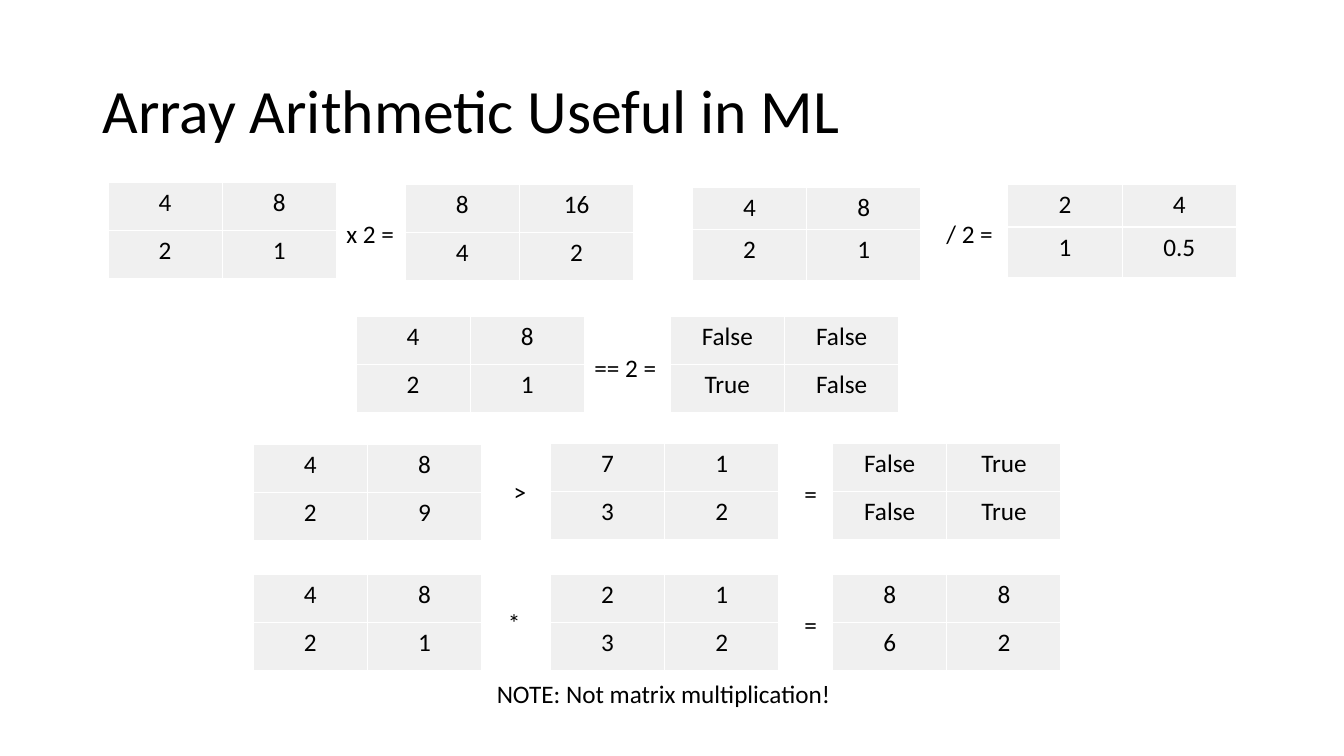
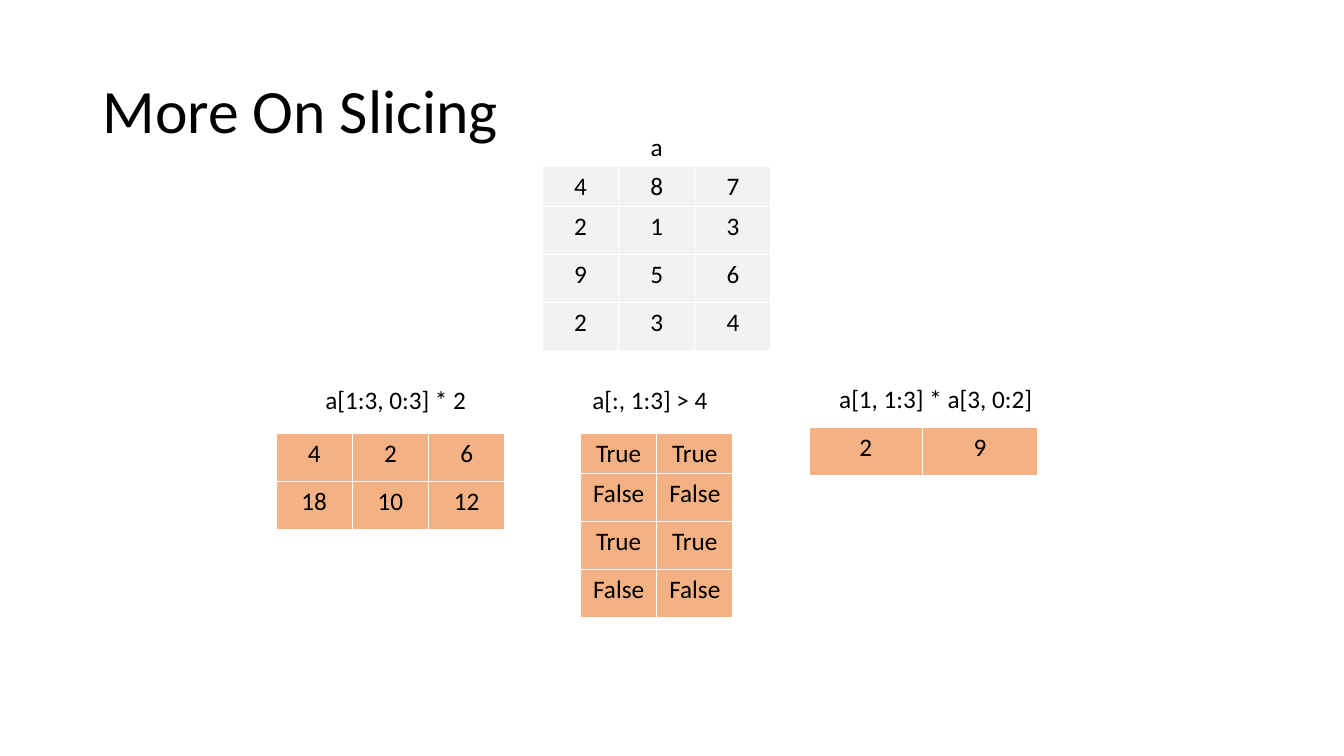
import lxml.etree
import pptx
import pptx.dml.color
import pptx.enum.text
import pptx.oxml
import pptx.oxml.ns
import pptx.util

Cm = pptx.util.Cm
Pt = pptx.util.Pt
RGBColor = pptx.dml.color.RGBColor

BLACK = RGBColor(0x00, 0x00, 0x00)
WHITE = RGBColor(0xFF, 0xFF, 0xFF)
OPERAND = RGBColor(0xF0, 0xF0, 0xF0)
SOURCE = RGBColor(0xF2, 0xF2, 0xF2)
RESULT = RGBColor(0xF4, 0xB1, 0x83)

FONT = "Calibri"
BODY_SIZE = 18
TITLE_SIZE = 44
ROW = 1.21
FIRST_ROW = 1.02
WIDE_COL = 2.88
NARROW_COL = 1.92
UNEVEN_ROWS = [1.07, 1.27]
TALL_ROWS = [FIRST_ROW, ROW, ROW, ROW]


def add_run(p, text, size=BODY_SIZE):
    """Append one black run to a paragraph."""
    r = p.add_run()
    r.text = text
    r.font.name = FONT
    r.font.size = Pt(size)
    r.font.color.rgb = BLACK


def add_titled_slide(prs, title):
    """Add a title-only slide with the shared title style."""
    s = prs.slides.add_slide(prs.slide_layouts[5])
    sp = s.shapes.title
    sp.left, sp.top, sp.width, sp.height = Cm(2.33), Cm(1.01), Cm(29.21), Cm(3.68)
    tf = sp.text_frame
    tf.vertical_anchor = pptx.enum.text.MSO_ANCHOR.MIDDLE
    p = tf.paragraphs[0]
    p.alignment = pptx.enum.text.PP_ALIGN.LEFT
    p.line_spacing = 0.9
    add_run(p, title, TITLE_SIZE)
    return s


def add_label(s, x, y, width, text):
    """Add a one-line text box."""
    sp = s.shapes.add_textbox(Cm(x), Cm(y), Cm(width), Cm(1.03))
    tf = sp.text_frame
    tf.word_wrap = False
    tf.auto_size = pptx.enum.text.MSO_AUTO_SIZE.SHAPE_TO_FIT_TEXT
    add_run(tf.paragraphs[0], text)


def set_borders(cell):
    """Give a cell thin white borders on all four sides."""
    tc_pr = cell._tc.get_or_add_tcPr()
    for i, side in enumerate(("lnL", "lnR", "lnT", "lnB")):
        ln = lxml.etree.Element(pptx.oxml.ns.qn("a:" + side), w=str(Pt(1)))
        fill = lxml.etree.SubElement(ln, pptx.oxml.ns.qn("a:solidFill"))
        lxml.etree.SubElement(fill, pptx.oxml.ns.qn("a:srgbClr"), val=str(WHITE))
        tc_pr.insert(i, ln)


def add_array(s, x, y, rows, color=OPERAND, widths=(WIDE_COL, WIDE_COL), heights=None):
    """Draw an array as a table; each row is a string of spaced values."""
    values = [row.split() for row in rows]
    heights = heights or [ROW] * len(values)
    frame = s.shapes.add_table(len(values), len(widths), Cm(x), Cm(y),
                               Cm(sum(widths)), Cm(sum(heights)))
    table = frame.table
    table.first_row = False
    table.horz_banding = False
    for column, width in zip(table.columns, widths):
        column.width = Cm(width)
    for i, (row, height) in enumerate(zip(values, heights)):
        table.rows[i].height = Cm(height)
        for j, value in enumerate(row):
            cell = table.cell(i, j)
            cell.fill.solid()
            cell.fill.fore_color.rgb = color
            set_borders(cell)
            p = cell.text_frame.paragraphs[0]
            p.alignment = pptx.enum.text.PP_ALIGN.CENTER
            add_run(p, value)


def add_elementwise(s, y, left, operator, right, result, left_shift=0):
    """Draw one line of the form: array, operator, array, equals, array."""
    add_array(s, 6.38, y + left_shift, left)
    add_label(s, 12.55, y + 0.7, 0.99, operator)
    add_array(s, 13.87, y, right)
    add_label(s, 20.02, y + 0.75, 0.99, "= ")
    add_array(s, 20.98, y, result)


def build_arithmetic(prs):
    """Build the slide on array arithmetic."""
    s = add_titled_slide(prs, "Array Arithmetic Useful in ML")
    operand = ["4 8", "2 1"]

    add_array(s, 2.72, 4.6, operand)
    add_label(s, 8.48, 5.38, 1.88, "x 2 = ")
    add_array(s, 10.21, 4.65, ["8 16", "4 2"])

    add_array(s, 17.45, 4.72, operand, heights=UNEVEN_ROWS)
    add_label(s, 23.6, 5.38, 1.85, "/ 2 = ")
    add_array(s, 25.4, 4.65, ["2 4", "1 0.5"], heights=UNEVEN_ROWS)

    add_array(s, 8.97, 7.98, operand)
    add_label(s, 14.73, 8.76, 2.24, "== 2 = ")
    add_array(s, 16.89, 7.98, ["False False", "True False"])

    add_elementwise(s, 11.18, ["4 8", "2 9"], " >", ["7 1", "3 2"],
                    ["False True", "False True"], left_shift=0.03)
    add_elementwise(s, 14.48, operand, "* ", ["2 1", "3 2"], ["8 8", "6 2"])
    add_label(s, 12.27, 16.97, 9.02, "NOTE: Not matrix multiplication!")


def build_slicing(prs):
    """Build the slide on slicing."""
    s = add_titled_slide(prs, "More On Slicing")
    add_label(s, 16.15, 3.18, 0.81, "a")
    add_array(s, 13.67, 4.19, ["4 8 7", "2 1 3", "9 5 6", "2 3 4"],
              SOURCE, [NARROW_COL] * 3, TALL_ROWS)

    add_label(s, 7.95, 9.55, 4.11, "a[1:3, 0:3] * 2")
    add_array(s, 6.96, 10.92, ["4 2 6", "18 10 12"], RESULT, [NARROW_COL] * 3)

    add_label(s, 14.68, 9.55, 3.53, "a[:, 1:3] > 4")
    add_array(s, 14.63, 10.92, ["True True", "False False"] * 2,
              RESULT, [NARROW_COL] * 2, TALL_ROWS)

    add_label(s, 20.9, 9.53, 5.49, "a[1, 1:3] * a[3, 0:2]")
    add_array(s, 20.4, 10.77, ["2 9"], RESULT, [2.84, 2.92])


def main():
    """Build and save the presentation."""
    prs = pptx.Presentation()
    prs.slide_width, prs.slide_height = Cm(33.87), Cm(19.05)
    build_arithmetic(prs)
    build_slicing(prs)
    prs.save("out.pptx")


main()
